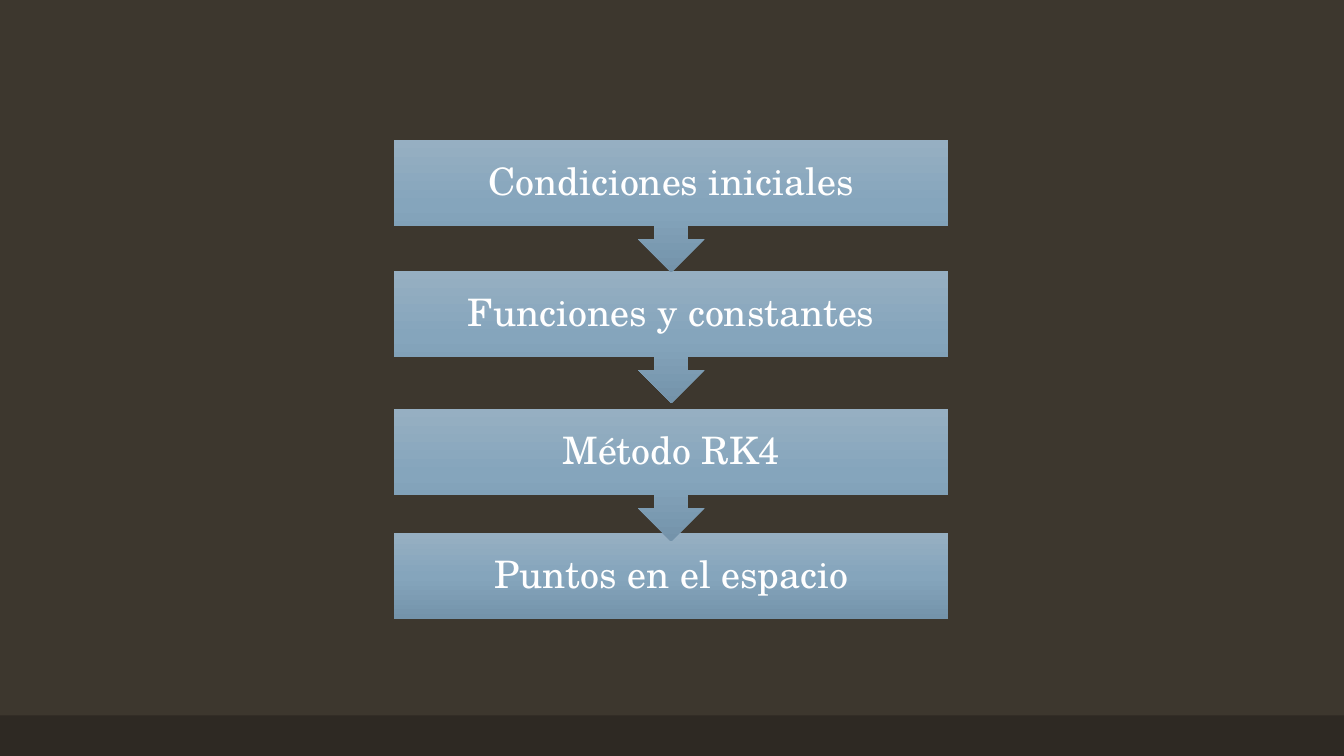
from copy import deepcopy

from pptx import Presentation
from pptx.dml.color import RGBColor
from pptx.enum import shapes, text
from pptx.util import Cm, Pt

# Content: each step and the top of its box in cm
STEPS = [
    ("Condiciones iniciales", 3.53),
    ("Funciones y constantes", 6.83),
    ("Método RK4", 10.31),
    ("Puntos en el espacio", 13.44),
]
COLORS = {"background": "3D372E", "band": "2E2923", "text": "FFFFFF",
          "top": "96AFC2", "middle": "85A5BC", "bottom": "7493AA"}
FONT = "TeX Gyre Schola"
SLIDE_WIDTH, SLIDE_HEIGHT = 33.87, 19.05
BAND_HEIGHT = 1.02
BOX_LEFT, BOX_WIDTH, BOX_HEIGHT = 9.93, 13.97, 2.16
CALLOUT_HEIGHT = 3.33
INSET = 0.53


def color(name):
    return RGBColor.from_string(COLORS[name])


def add_plain_shape(page, kind, left, top, width, height):
    shape = page.shapes.add_shape(kind, Cm(left), Cm(top), Cm(width), Cm(height))
    shape.shadow.inherit = False
    shape.line.fill.background()
    return shape


def fill_gradient(shape):
    shape.fill.gradient()
    shape.fill.gradient_angle = 270
    first = shape._element.spPr.xpath("a:gradFill/a:gsLst/a:gs")[0]
    first.addnext(deepcopy(first))
    stops = zip(shape.fill.gradient_stops, ("top", "middle", "bottom"), (0, 0.5, 1))
    for stop, name, position in stops:
        stop.color.rgb = color(name)
        stop.position = position


def write_label(shape, label):
    frame = shape.text_frame
    frame.word_wrap = True
    frame.vertical_anchor = text.MSO_ANCHOR.MIDDLE
    frame.margin_left = frame.margin_right = Cm(INSET)
    frame.margin_top = frame.margin_bottom = Cm(INSET)
    para = frame.paragraphs[0]
    para.alignment = text.PP_ALIGN.CENTER
    para.line_spacing = 0.9
    span = para.add_run()
    span.text = label
    span.font.name = FONT
    span.font.size = Pt(27)
    span.font.color.rgb = color("text")


def main():
    deck = Presentation()
    deck.slide_width, deck.slide_height = Cm(SLIDE_WIDTH), Cm(SLIDE_HEIGHT)
    page = deck.slides.add_slide(deck.slide_layouts[6])
    page.background.fill.solid()
    page.background.fill.fore_color.rgb = color("background")

    # Band along the bottom edge
    band = add_plain_shape(page, shapes.MSO_SHAPE.RECTANGLE, 0,
                           SLIDE_HEIGHT - BAND_HEIGHT, SLIDE_WIDTH, BAND_HEIGHT)
    band.fill.solid()
    band.fill.fore_color.rgb = color("band")

    # Steps from last to first, so each arrow lies over the next box
    for label, top in reversed(STEPS):
        is_last = label == STEPS[-1][0]
        kind = (shapes.MSO_SHAPE.RECTANGLE if is_last
                else shapes.MSO_SHAPE.DOWN_ARROW_CALLOUT)
        height = BOX_HEIGHT if is_last else CALLOUT_HEIGHT
        step = add_plain_shape(page, kind, BOX_LEFT, top, BOX_WIDTH, height)
        if not is_last:
            step.adjustments[3] = BOX_HEIGHT / CALLOUT_HEIGHT
        fill_gradient(step)
        write_label(step, label)

    deck.save("out.pptx")


if __name__ == "__main__":
    main()
